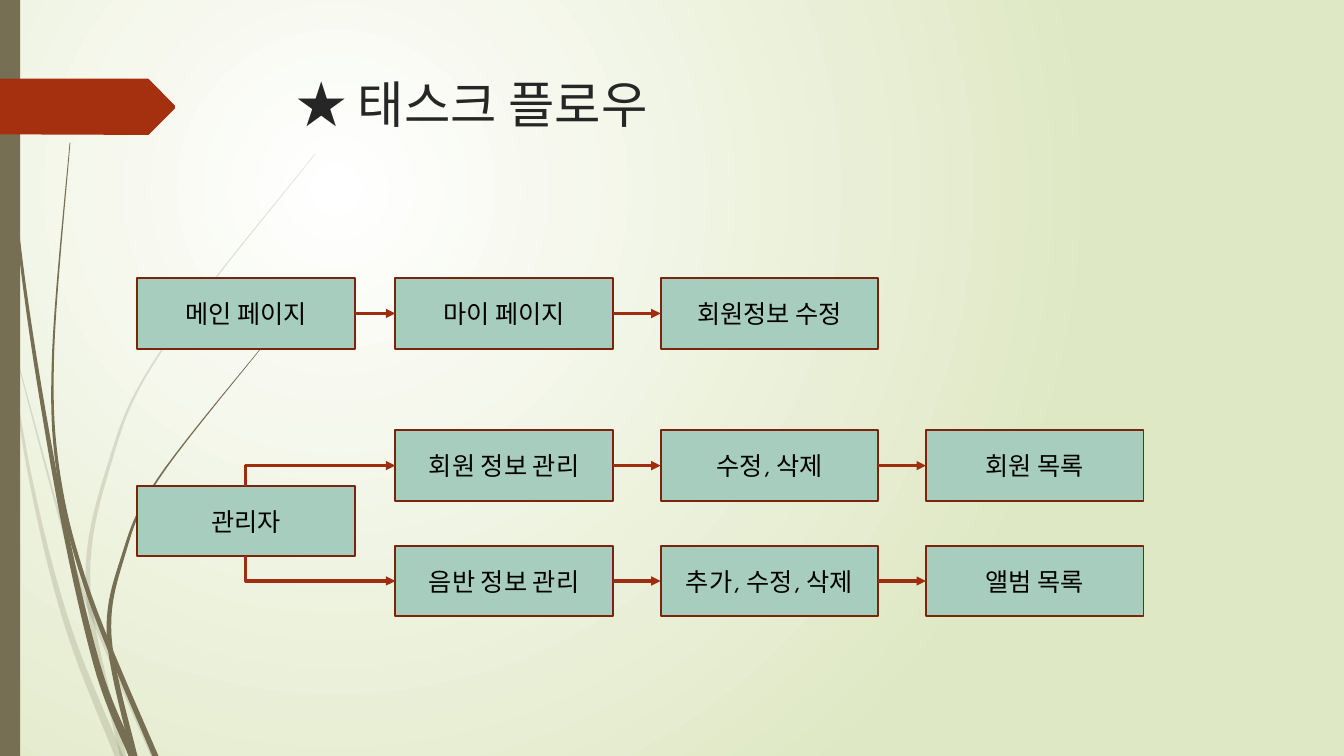
from lxml import etree
from pptx import Presentation
from pptx import util as u
from pptx.dml.color import RGBColor
from pptx.enum import shapes, text
from pptx.oxml.ns import qn

COLORS = {
    "glow": "FFFFFF", "meadow": "DFE8C4", "stem": "766F54", "tag": "A53010",
    "title": "262626", "box": "A6CDBD", "border": "7A240C",
    "arrow": "9E2E0F", "label": "000000",
}
FONT = "TeX Gyre Adventor"
BOX_WIDTH, BOX_HEIGHT = 155.5, 50.4
COLUMNS = [97.9] + [282.4 + 189.5 * step for step in range(3)]
ROWS = {"member": 198.7, "users": 307.4, "manager": 347, "albums": 389.8}
FLOWS = {
    "member": (0, ["메인 페이지", "마이 페이지", "회원정보 수정"]),
    "users": (1, ["회원 정보 관리", "수정, 삭제", "회원 목록"]),
    "albums": (1, ["음반 정보 관리", "추가, 수정, 삭제", "앨범 목록"]),
}

# Stems: width at the base, then the points passed from tip to base
PALE_STEMS = [
    (6, [(0, 207), (21, 338), (48, 446), (85, 540)]),
    (4, [(10, 248), (44, 374), (63, 432), (110, 540)]),
    (4, [(225, 110), (115, 251), (78, 332), (63, 421), (88, 540)]),
]
DARK_STEMS = [
    (6, [(2, 0), (13, 168), (40, 344), (69, 474), (95, 540)]),
    (4, [(50, 102), (38, 251), (42, 340), (64, 426), (111, 540)]),
    (4, [(187, 248), (113, 342), (88, 397), (78, 455), (96, 540)]),
]
CURVE_STEPS = 10
TAG = [(0, 56.2), (106, 56.2), (125, 75.5), (125, 77.5), (106, 96.4), (0, 96)]


def color(name):
    return RGBColor.from_string(COLORS[name])


def paint_background(slide):
    fill = slide.background.fill
    fill.gradient()
    for stop, name, position in zip(fill.gradient_stops, ("glow", "meadow"), (0, 1)):
        stop.color.rgb = color(name)
        stop.position = position
    # Turn the linear gradient into a circular one
    linear = slide.background._cSld.find(".//" + qn("a:lin"))
    circle = etree.Element(qn("a:path"), {"path": "circle"})
    etree.SubElement(circle, qn("a:fillToRect"), l="50000", t="50000", r="100000", b="100000")
    linear.getparent().replace(linear, circle)


def style_shape(shape, fill, border=None):
    shape.shadow.inherit = False
    shape.fill.solid()
    shape.fill.fore_color.rgb = color(fill)
    if border:
        shape.line.color.rgb = color(border)
        shape.line.width = u.Pt(1.25)
    else:
        shape.line.fill.background()


def smooth_curve(points):
    """Return points along a Catmull-Rom curve through the given points."""
    padded = points[:1] + points + points[-1:]
    curve = points[:1]
    for a, b, c, d in zip(padded, padded[1:], padded[2:], padded[3:]):
        for step in range(1, CURVE_STEPS + 1):
            t = step / CURVE_STEPS
            curve.append(tuple(
                q + t / 2 * (r - p + t * (2 * p - 5 * q + 4 * r - s + t * (3 * (q - r) + s - p)))
                for p, q, r, s in zip(a, b, c, d)))
    return curve


def add_outline(parent, points, fill):
    first, *rest = [(u.Pt(x), u.Pt(y)) for x, y in points]
    builder = parent.shapes.build_freeform(*first)
    builder.add_line_segments(rest, close=True)
    shape = builder.convert_to_shape()
    style_shape(shape, fill)
    return shape


def add_stems(slide, stems, opacity=None):
    group = slide.shapes.add_group_shape()
    for base_width, points in stems:
        curve = smooth_curve(points)
        left, right = [], []
        for index, (x, y) in enumerate(curve):
            half = (0.5 + base_width * index / len(curve)) / 2
            left.append((x - half, y))
            right.append((x + half, y))
        shape = add_outline(group, left + right[::-1], "stem")
        if opacity:
            tint = shape._element.spPr.find(qn("a:solidFill")).find(qn("a:srgbClr"))
            etree.SubElement(tint, qn("a:alpha"), val=str(opacity * 1000))


def add_run(paragraph, words, size, name):
    run = paragraph.add_run()
    run.text = words
    run.font.name = FONT
    run.font.size = u.Pt(size)
    run.font.color.rgb = color(name)


def add_title(slide, words):
    shape = slide.shapes.add_textbox(u.Pt(204.5), u.Pt(49), u.Pt(702), u.Pt(57.6))
    shape.text_frame.word_wrap = True
    add_run(shape.text_frame.paragraphs[0], words, 36, "title")


def add_box(slide, words, column, row):
    shape = slide.shapes.add_shape(shapes.MSO_SHAPE.RECTANGLE, u.Pt(COLUMNS[column]),
                                   u.Pt(ROWS[row]), u.Pt(BOX_WIDTH), u.Pt(BOX_HEIGHT))
    style_shape(shape, "box", "border")
    shape.text_frame.vertical_anchor = text.MSO_ANCHOR.MIDDLE
    paragraph = shape.text_frame.paragraphs[0]
    paragraph.alignment = text.PP_ALIGN.CENTER
    add_run(paragraph, words, 18, "label")
    return shape


def style_arrow(connector):
    connector.line.color.rgb = color("arrow")
    connector.line.width = u.Pt(2.25)
    etree.SubElement(connector.line._get_or_add_ln(), qn("a:tailEnd"), type="triangle")
    etree.SubElement(connector._element.spPr, qn("a:effectLst"))


def add_arrow(slide, source, target):
    connector = slide.shapes.add_connector(shapes.MSO_CONNECTOR.STRAIGHT, 0, 0, 0, 0)
    connector.begin_connect(source, 3)
    connector.end_connect(target, 1)
    style_arrow(connector)


def add_branch(slide, source, target):
    """Leave the source vertically, then enter the target from the left."""
    start_x = source.left + source.width // 2
    end_y = target.top + target.height // 2
    down = end_y > source.top + source.height // 2
    start_y = source.top + source.height if down else source.top
    # The one-bend connector is drawn sideways and turned about its centre
    center_x, center_y = (start_x + target.left) // 2, (start_y + end_y) // 2
    half_rise, half_run = abs(end_y - start_y) // 2, (target.left - start_x) // 2
    side = 1 if down else -1
    connector = slide.shapes.add_connector(
        shapes.MSO_CONNECTOR.ELBOW, center_x + half_rise, center_y - side * half_run,
        center_x - half_rise, center_y + side * half_run)
    connector._element.spPr.find(qn("a:prstGeom")).set("prst", "bentConnector2")
    connector.rotation = 270 if down else 90
    style_arrow(connector)


def main():
    presentation = Presentation()
    presentation.slide_width, presentation.slide_height = u.Pt(960), u.Pt(540)
    slide = presentation.slides.add_slide(presentation.slide_layouts[6])

    # Backdrop
    paint_background(slide)
    add_stems(slide, PALE_STEMS, opacity=20)
    add_stems(slide, DARK_STEMS)
    band = slide.shapes.add_shape(shapes.MSO_SHAPE.RECTANGLE, 0, 0, u.Pt(14.4), u.Pt(540))
    style_shape(band, "stem")
    add_outline(slide, TAG, "tag")
    add_title(slide, "★ 태스크 플로우")

    # Task flows
    manager = add_box(slide, "관리자", 0, "manager")
    for row, (first_column, labels) in FLOWS.items():
        boxes = [add_box(slide, words, column, row)
                 for column, words in enumerate(labels, first_column)]
        for source, target in zip(boxes, boxes[1:]):
            add_arrow(slide, source, target)
        if first_column:
            add_branch(slide, manager, boxes[0])

    presentation.save("out.pptx")


if __name__ == "__main__":
    main()
